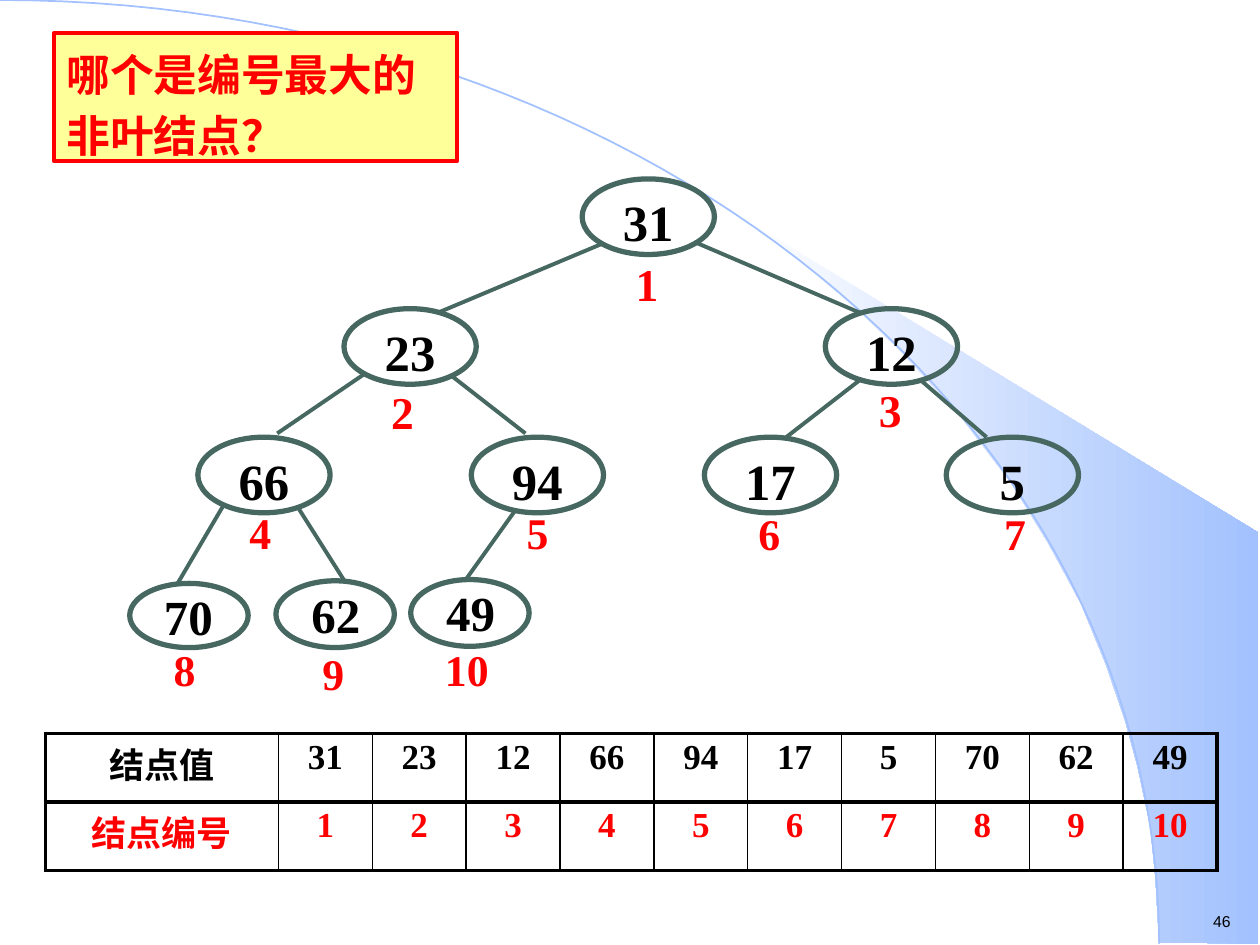
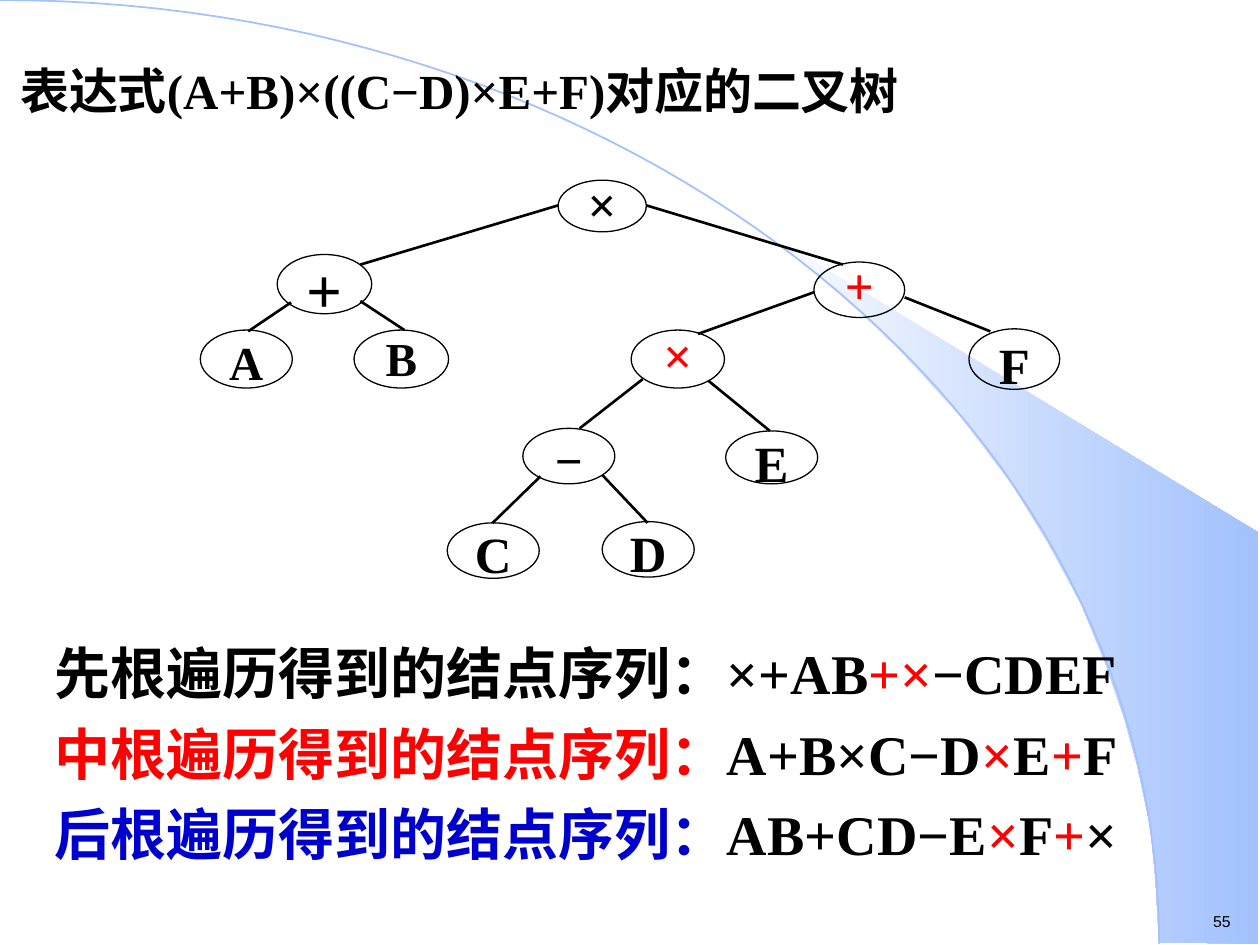
from dataclasses import dataclass
from pptx import Presentation
from pptx import util as u
from pptx.dml import color as dml
from pptx.enum import shapes, text
from pptx.oxml import ns
from lxml import etree


@dataclass(frozen=True)
class Theme:
    serif: str = "Times New Roman"
    sans: str = "Arial"
    ink: str = "000000"
    red: str = "FF0000"
    blue: str = "0000CC"
    green: str = "466861"
    sky: str = "A2C1FE"
    white: str = "FFFFFF"
    cream: str = "FFFF99"
    page: int = 9
    cell: int = 20
    question: int = 25
    heading: int = 28
    node: int = 29
    leaf: int = 28
    letter: int = 27
    sequence: int = 32


theme = Theme()
rgb = dml.RGBColor.from_string
center, left = text.PP_ALIGN.CENTER, text.PP_ALIGN.LEFT
middle, top = text.MSO_ANCHOR.MIDDLE, text.MSO_ANCHOR.TOP


def write(frame, lines, size, align=center, spacing=None, before=0, anchor=top,
          insets=(0, 0, 0, 0), wrap=True, font=theme.serif, bold=True):
    sides = ("margin_left", "margin_top", "margin_right", "margin_bottom")
    frame_format = dict(zip(sides, map(u.Inches, insets)), word_wrap=wrap, vertical_anchor=anchor)
    for name, value in frame_format.items():
        setattr(frame, name, value)
    for number, runs in enumerate(lines):
        paragraph = frame.add_paragraph() if number else frame.paragraphs[0]
        paragraph.alignment = align
        if spacing:
            paragraph.line_spacing = spacing
        if number and before:
            paragraph.space_before = u.Pt(before)
        for words, tint in runs:
            run = paragraph.add_run()
            run.text = words
            for name, value in dict(name=font, size=u.Pt(size), bold=bold).items():
                setattr(run.font, name, value)
            run.font.color.rgb = rgb(tint)


def outline(shape, tint, width, fill=None):
    shape.shadow.inherit = False
    shape.line.color.rgb = rgb(tint)
    shape.line.width = u.Pt(width)
    if fill:
        shape.fill.solid()
        shape.fill.fore_color.rgb = rgb(fill)
    else:
        shape.fill.background()


beam_points = [
    (9.2, 7.48), (9.99, 7.49), (9.99, 4.23), (5.89, 1.73), (6.24, 1.99), (6.53, 2.22),
    (6.85, 2.5), (7.16, 2.8), (7.62, 3.3), (8.03, 3.84), (8.32, 4.31), (8.58, 4.79),
    (8.78, 5.28), (8.93, 5.72), (9.03, 6.09), (9.13, 6.56), (9.17, 6.96)]
steps = [step / 60 for step in range(61)]
arc_points = [(3 * 5.08 * t * (1 - t) ** 2 + 3 * 9.2 * t ** 2 * (1 - t) + 9.2 * t ** 3,
               3 * 3.35 * t ** 2 * (1 - t) + 7.49 * t ** 3) for t in steps]

heap_nodes = [
    (value, x, y, 1.05, 0.6, theme.node, theme.ink, (0, 0.08, 0, 0), None, middle)
    for value, x, y in [("31", 4.62, 1.42), ("23", 2.73, 2.45), ("12", 6.55, 2.45),
                        ("66", 1.57, 3.47), ("94", 3.74, 3.47), ("17", 5.59, 3.47),
                        ("5", 7.51, 3.47)]]
raised, level, flat = (0, 0.08, 0, 0.04), (0, 0.08, 0, 0), (0, 0, 0, 0)
expression_nodes = [
    ("×", 4.43, 1.43, 0.7, 0.41, theme.node, theme.ink, (0, 0.08, 0, 0.12), None, middle),
    ("+", 6.46, 2.08, 0.72, 0.44, theme.node, theme.red, flat, u.Pt(29), middle),
    ("+", 2.2, 2.02, 0.75, 0.47, 36, theme.ink, (0, 0.1, 0, 0.04), None, middle),
    ("A", 1.59, 2.62, 0.73, 0.46, theme.letter, theme.ink, raised, None, middle),
    ("B", 2.81, 2.62, 0.75, 0.46, theme.letter, theme.ink, (0, 0, 0, 0.12), u.Pt(27), top),
    ("×", 5.01, 2.62, 0.74, 0.46, theme.node, theme.red, flat, u.Pt(29), middle),
    ("E", 5.76, 3.42, 0.73, 0.42, theme.node, theme.ink, level, None, middle),
    ("F", 7.69, 2.61, 0.72, 0.48, theme.node, theme.ink, level, None, middle),
    ("D", 4.78, 4.14, 0.73, 0.44, theme.node, theme.ink, raised, None, middle),
    ("C", 3.55, 4.15, 0.73, 0.44, theme.node, theme.ink, raised, None, middle),
    ("−", 4.15, 3.4, 0.73, 0.44, theme.leaf, theme.ink, raised, None, middle)]
heap_edges = [
    (4.79, 1.93, 3.48, 2.48), (5.51, 1.92, 6.82, 2.48), (2.89, 2.97, 2.2, 3.44),
    (3.58, 2.98, 4.17, 3.44), (6.82, 3.02, 6.24, 3.47), (7.31, 3.02, 7.83, 3.47),
    (1.78, 4, 1.41, 4.63), (2.36, 4.02, 2.74, 4.62), (4.09, 4.05, 3.69, 4.61)]
expression_edges = [
    (4.43, 1.63, 2.86, 2.1), (5.13, 1.63, 6.69, 2.1), (6.46, 2.32, 5.54, 2.65),
    (7.18, 2.36, 7.86, 2.63), (5.1, 3.01, 4.6, 3.4), (5.62, 3.02, 6.11, 3.42),
    (4.29, 3.78, 3.91, 4.15), (4.78, 3.77, 5.14, 4.15), (2.31, 2.4, 1.97, 2.63),
    (2.86, 2.39, 3.21, 2.62)]
connector_dot = shapes.MSO_SHAPE.FLOWCHART_CONNECTOR
trees = [
    ("46", heap_nodes, heap_edges, connector_dot, theme.green, 3, 2.25),
    ("55", expression_nodes, expression_edges, shapes.MSO_SHAPE.OVAL, theme.ink, 0.75, 1.5)]

deck = Presentation()
deck.slide_width, deck.slide_height = u.Inches(10), u.Inches(7.5)

for page, nodes, edges, node_kind, tint, node_width, edge_width in trees:
    slide = deck.slides.add_slide(deck.slide_layouts[6])
    for points, closed in [(beam_points, True), (arc_points, False)]:
        corners = [(u.Inches(x), u.Inches(y)) for x, y in points]
        builder = slide.shapes.build_freeform(*corners[0])
        builder.add_line_segments(corners[1:], close=closed)
        swoosh = builder.convert_to_shape()
        outline(swoosh, theme.sky, 1)
        if closed:
            swoosh.line.fill.background()
            swoosh.fill.gradient()
            swoosh.fill.gradient_angle = 0
            for stop, shade, position in zip(swoosh.fill.gradient_stops,
                                             (theme.white, theme.sky), (0, 1)):
                stop.color.rgb = rgb(shade)
                stop.position = position

    page_number = slide.shapes.add_textbox(*map(u.Inches, (9.53, 7.19, 0.35, 0.25)))
    write(page_number.text_frame, [[(page, theme.ink)]], theme.page, align=left,
          insets=(0.1, 0.05, 0.1, 0.05), wrap=False, font=theme.sans, bold=False)

    for ends in edges:
        edge = slide.shapes.add_connector(shapes.MSO_CONNECTOR.STRAIGHT, *map(u.Inches, ends))
        edge.line.color.rgb = rgb(tint)
        edge.line.width = u.Pt(edge_width)
        etree.SubElement(edge._element.spPr, ns.qn("a:effectLst"))

    for value, x, y, width, height, size, value_tint, insets, spacing, anchor in nodes:
        node = slide.shapes.add_shape(node_kind, *map(u.Inches, (x, y, width, height)))
        outline(node, tint, node_width)
        write(node.text_frame, [[(value, value_tint)]], size, spacing=spacing,
              anchor=anchor, insets=insets, wrap=node_kind != connector_dot)

heap, expression = deck.slides

leaves = [("70", 1.03, 4.63, 0.51, 1.24, 4.72), ("62", 2.19, 4.61, 0.53, 2.41, 4.7),
          ("49", 3.26, 4.6, 0.53, 3.48, 4.69)]
for value, x, y, height, value_x, value_y in leaves:
    leaf = heap.shapes.add_shape(connector_dot, *map(u.Inches, (x, y, 0.94, height)))
    outline(leaf, theme.green, 3)
    leaf_value = heap.shapes.add_textbox(*map(u.Inches, (value_x, value_y, 0.51, 0.4)))
    write(leaf_value.text_frame, [[(value, theme.ink)]], theme.leaf, spacing=u.Pt(29))

index_places = [(4.91, 2.08), (2.97, 3.09), (6.84, 3.08), (1.84, 4.08), (4.04, 4.08),
                (5.88, 4.09), (7.83, 4.09), (1.24, 5.17), (2.42, 5.2), (3.48, 5.17)]
for index, (x, y) in enumerate(index_places, 1):
    size, pitch, height = (26, 28, 0.39) if index <= 3 else (25, 25, 0.35)
    node_index = heap.shapes.add_textbox(*map(u.Inches, (x, y, 0.45, height)))
    write(node_index.text_frame, [[(str(index), theme.red)]], size, spacing=u.Pt(pitch))

question = heap.shapes.add_shape(shapes.MSO_SHAPE.RECTANGLE,
                                 *map(u.Inches, (0.43, 0.26, 3.2, 1.02)))
outline(question, theme.red, 2.25, theme.cream)
write(question.text_frame, [[("哪个是编号最大的", theme.red)], [("非叶结点？", theme.red)]],
      theme.question, align=left, before=5, insets=(0.1, 0.12, 0.1, 0.05))

table_rows = [
    (["结点值", "31", "23", "12", "66", "94", "17", "5", "70", "62", "49"], theme.ink),
    (["结点编号", *map(str, range(1, 11))], theme.red)]
node_table = heap.shapes.add_table(2, 11, *map(u.Inches, (0.36, 5.82, 9.25, 1.09))).table
node_table.first_row = node_table.horz_banding = False
for number, column in enumerate(node_table.columns):
    column.width = u.Inches(0.745 if number else 1.85)
for row, (values, tint) in zip(node_table.rows, table_rows):
    row.height = u.Inches(0.545)
    for number, (cell, value) in enumerate(zip(row.cells, values)):
        write(cell.text_frame, [[(value, tint)]], theme.cell, spacing=0.95)
        for side in ("left", "right"):
            setattr(cell, f"margin_{side}", u.Inches(0.1))
        for side in ("top", "bottom"):
            setattr(cell, f"margin_{side}", u.Inches(0.05))
        borders = dict(lnL=1 if number else 2.25, lnR=2.25 if number == 10 else 1,
                       lnT=2.25, lnB=2.25)
        for side, width in borders.items():
            border = etree.SubElement(cell._tc.get_or_add_tcPr(), ns.qn(f"a:{side}"),
                                      w=str(u.Pt(width)))
            paint = etree.SubElement(border, ns.qn("a:solidFill"))
            etree.SubElement(paint, ns.qn("a:srgbClr"), val=theme.ink)
        cell.fill.background()

heading = expression.shapes.add_textbox(*map(u.Inches, (0.16, 0.35, 8.31, 0.57)))
write(heading.text_frame, [[("表达式(A+B)×((C−D)×E+F)对应的二叉树", theme.ink)]],
      theme.heading, align=left, insets=(0, 0.13, 0, 0.05))

traversals = expression.shapes.add_textbox(*map(u.Inches, (0.43, 4.96, 9.37, 2.21)))
write(traversals.text_frame, [
    [("先根遍历得到的结点序列：×+AB", theme.ink), ("+×", theme.red), ("−CDEF", theme.ink)],
    [("中根遍历得到的结点序列：", theme.red), ("A+B×C−D", theme.ink), ("×", theme.red),
     ("E", theme.ink), ("+", theme.red), ("F", theme.ink)],
    [("后根遍历得到的结点序列：", theme.blue), ("AB+CD−E", theme.ink), ("×", theme.red),
     ("F", theme.ink), ("+", theme.red), ("×", theme.ink)],
], theme.sequence, align=left, spacing=1.2)

deck.save("out.pptx")
